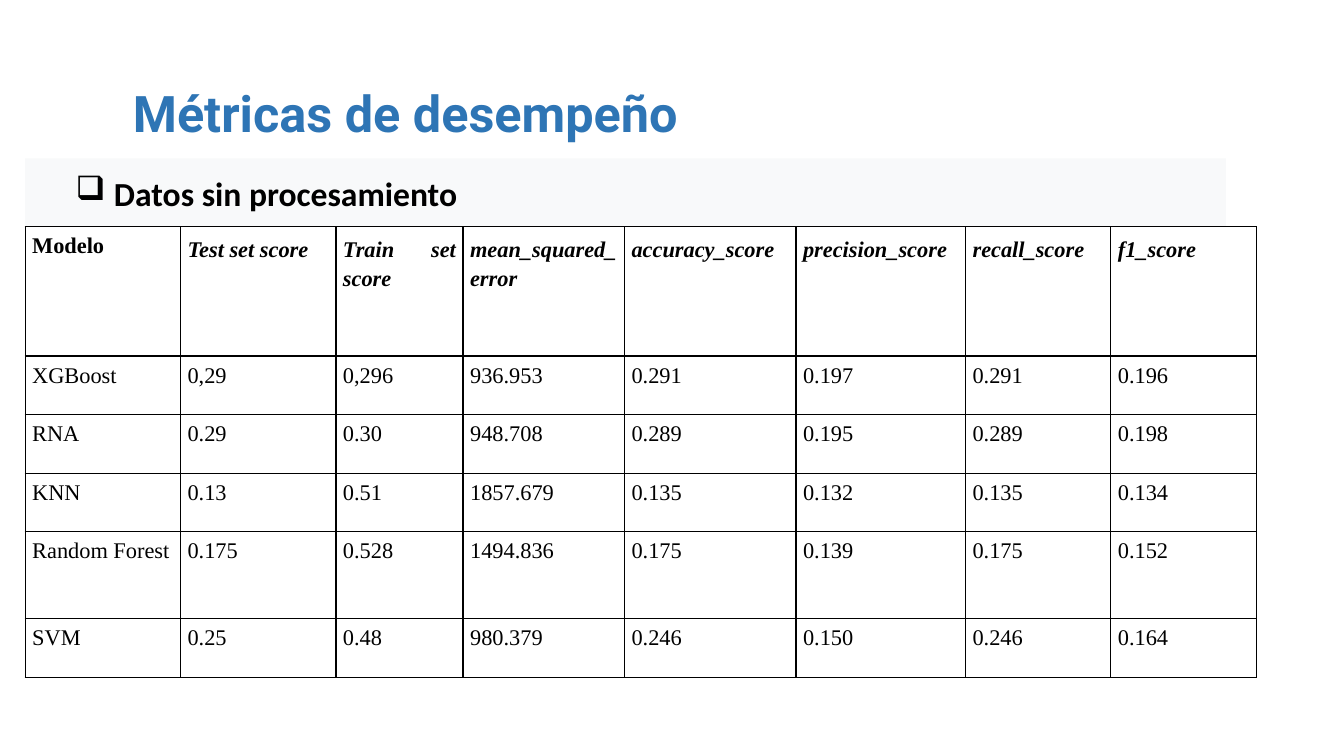
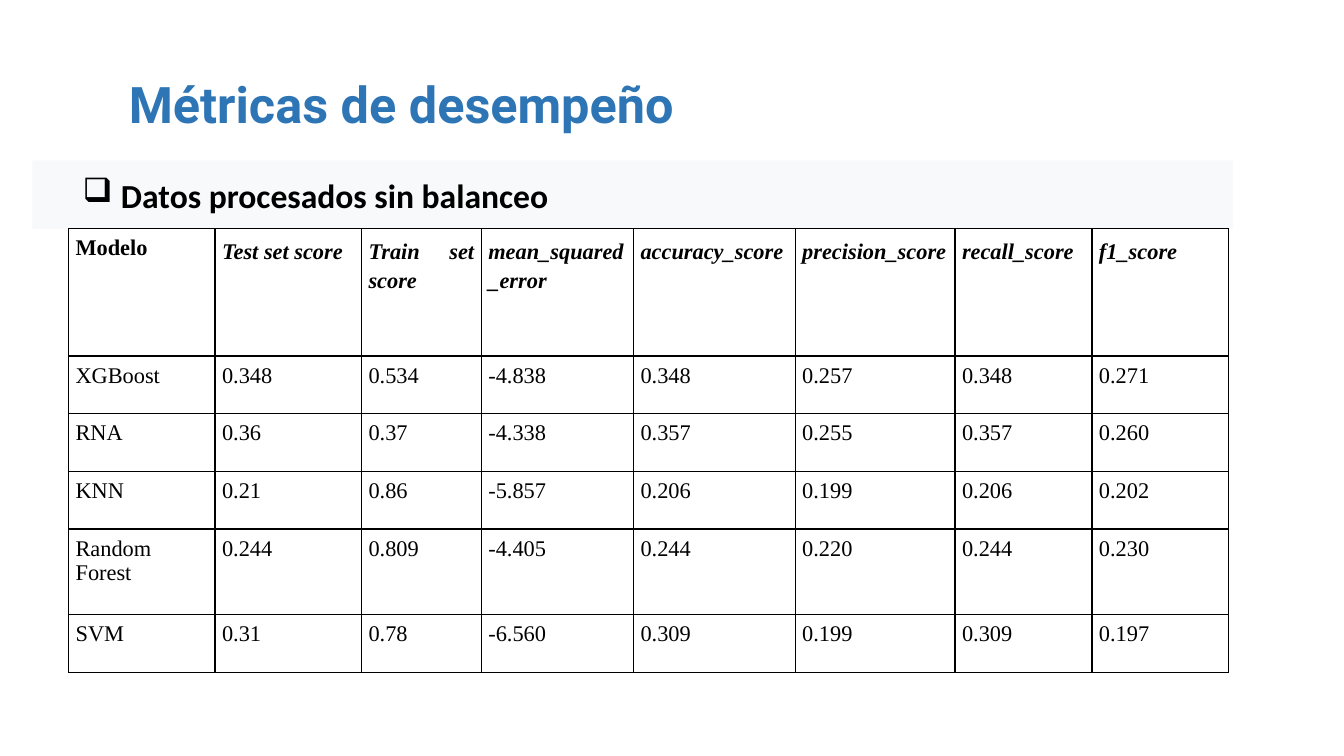
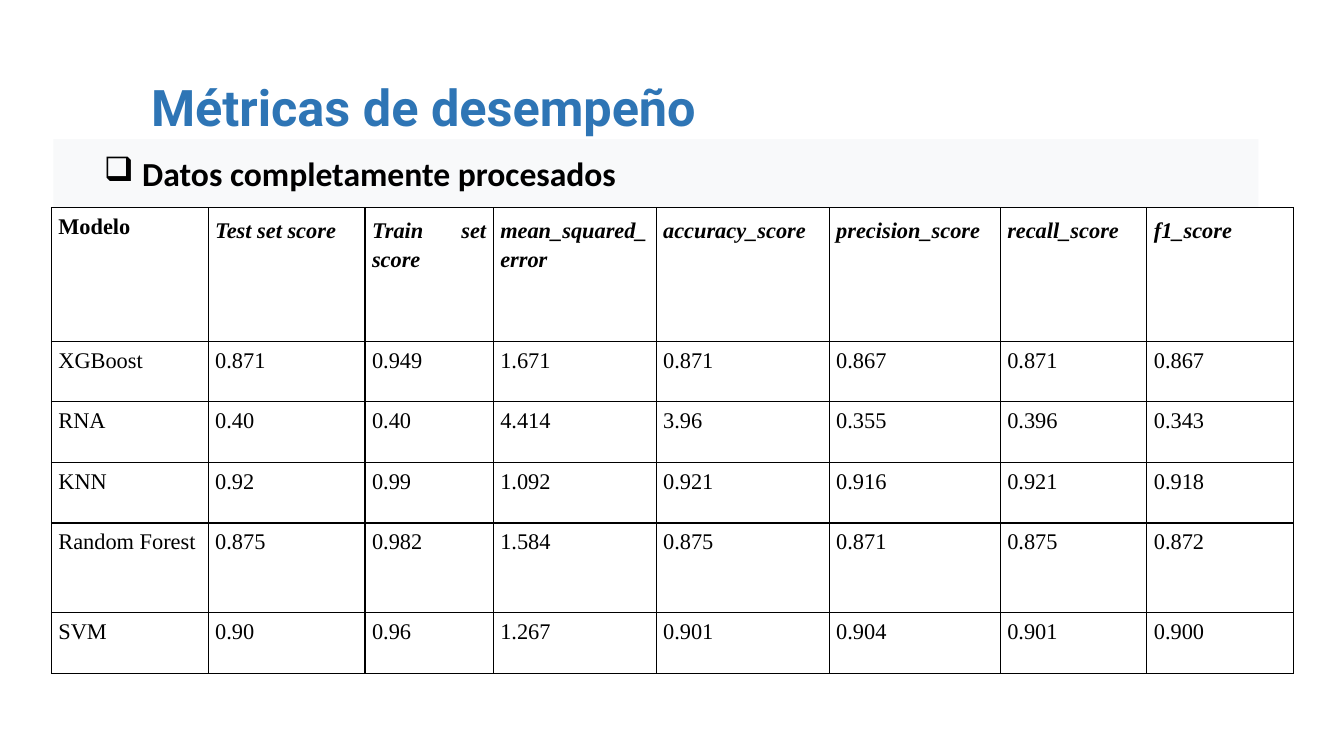
from lxml import etree
from pptx import Presentation
from pptx import util as u
from pptx.dml import color
from pptx.enum import shapes, text as t
from pptx.oxml import ns

TITLE_BLUE, BAND_GREY, BLACK = "2E75B5", "F8F9FA", "000000"
TITLE = "Métricas de desempeño"
HEADERS = ["Modelo", "Test set score", "Train set score", "mean_squared_error",
           "accuracy_score", "precision_score", "recall_score", "f1_score"]
MODELS = ["XGBoost", "RNA", "KNN", "Random Forest", "SVM"]
COLUMN_SHARES = [1.54, 1.54, 1.26, 1.6, 1.7, 1.68, 1.44, 1.44]
ROW_SHARES = [1.28, 0.58, 0.58, 0.58, 0.86, 0.58]
BAND_HEIGHT = 0.68
CELL_MARGIN = 0.07

# Title and table: left, top. Band: left, top, width. Size: table width, height.
SLIDES = [
    dict(subtitle="Datos sin procesamiento",
         title_at=(0.72, 0.77), band_at=(0.25, 1.57, 11.91),
         table_at=(0.25, 2.25), table_size=(12.21, 4.47),
         scores=["0,29 0,296 936.953 0.291 0.197 0.291 0.196",
                 "0.29 0.30 948.708 0.289 0.195 0.289 0.198",
                 "0.13 0.51 1857.679 0.135 0.132 0.135 0.134",
                 "0.175 0.528 1494.836 0.175 0.139 0.175 0.152",
                 "0.25 0.48 980.379 0.246 0.150 0.246 0.164"]),
    dict(subtitle="Datos procesados sin balanceo",
         title_at=(0.68, 0.68), band_at=(0.32, 1.59, 11.91),
         table_at=(0.68, 2.27), table_size=(11.51, 4.4),
         scores=["0.348 0.534 -4.838 0.348 0.257 0.348 0.271",
                 "0.36 0.37 -4.338 0.357 0.255 0.357 0.260",
                 "0.21 0.86 -5.857 0.206 0.199 0.206 0.202",
                 "0.244 0.809 -4.405 0.244 0.220 0.244 0.230",
                 "0.31 0.78 -6.560 0.309 0.199 0.309 0.197"]),
    dict(subtitle="Datos completamente procesados",
         title_at=(0.9, 0.71), band_at=(0.53, 1.38, 11.95),
         table_at=(0.51, 2.06), table_size=(12.32, 4.62),
         scores=["0.871 0.949 1.671 0.871 0.867 0.871 0.867",
                 "0.40 0.40 4.414 3.96 0.355 0.396 0.343",
                 "0.92 0.99 1.092 0.921 0.916 0.921 0.918",
                 "0.875 0.982 1.584 0.875 0.871 0.875 0.872",
                 "0.90 0.96 1.267 0.901 0.904 0.901 0.900"]),
]


def rgb(value):
    return color.RGBColor.from_string(value)


def add_xml(parent, tag, **attributes):
    return etree.SubElement(parent, ns.qn(tag), attributes)


def write_text(frame, text, size, font, colour=BLACK, bold=False, italic=False,
               align=t.PP_ALIGN.LEFT, spacing=None, indent=0, hanging=0, bullet=None):
    paragraph = frame.paragraphs[0]
    properties = paragraph._p.get_or_add_pPr()
    properties.set("marL", str(u.Inches(indent)))
    properties.set("indent", str(-u.Inches(hanging)))
    if bullet:
        add_xml(add_xml(properties, "a:buClr"), "a:srgbClr", val=colour)
        add_xml(properties, "a:buChar", char=bullet)
    paragraph.alignment = align
    if spacing:
        paragraph.line_spacing = spacing
    run = paragraph.add_run()
    run.text = text
    run.font.size = u.Pt(size)
    run.font.name = font
    run.font.bold = bold
    run.font.italic = italic
    run.font.color.rgb = rgb(colour)


def set_margins(target, margin):
    target.margin_left = target.margin_right = u.Inches(margin)
    target.margin_top = target.margin_bottom = u.Inches(margin)


def add_title(slide, left, top):
    box = slide.shapes.add_textbox(u.Inches(left), u.Inches(top), u.Inches(11.2), u.Inches(1.01))
    box.text_frame.word_wrap = True
    write_text(box.text_frame, TITLE, size=36, font="Roboto", colour=TITLE_BLUE,
               bold=True, indent=0.5)


def add_band(slide, subtitle, left, top, width):
    band = slide.shapes.add_shape(shapes.MSO_SHAPE.RECTANGLE, u.Inches(left), u.Inches(top),
                                  u.Inches(width), u.Inches(BAND_HEIGHT))
    band.shadow.inherit = False
    band.fill.solid()
    band.fill.fore_color.rgb = rgb(BAND_GREY)
    band.line.fill.background()
    frame = band.text_frame
    frame.word_wrap = True
    frame.vertical_anchor = t.MSO_ANCHOR.MIDDLE
    set_margins(frame, 0)
    write_text(frame, subtitle, size=24, font="Calibri", bold=True,
               indent=0.88, hanging=0.38, bullet="❑")


def style_cell(cell):
    """Give the cell its margins, thin black borders and no fill."""
    set_margins(cell, CELL_MARGIN)
    properties = cell._tc.get_or_add_tcPr()
    for side in ("a:lnL", "a:lnR", "a:lnT", "a:lnB"):
        line = add_xml(properties, side, w=str(u.Pt(1)))
        add_xml(add_xml(line, "a:solidFill"), "a:srgbClr", val=BLACK)
    cell.fill.background()


def share_out(parts, shares, attribute, total):
    """Divide a total length among columns or rows in proportion to their shares."""
    for part, share in zip(parts, shares):
        setattr(part, attribute, u.Inches(total * share / sum(shares)))


def add_score_table(slide, scores, position, size):
    rows = [HEADERS] + [[model] + line.split() for model, line in zip(MODELS, scores)]
    table = slide.shapes.add_table(len(rows), len(HEADERS),
                                   *map(u.Inches, position + size)).table
    table.first_row = table.horz_banding = False
    share_out(table.columns, COLUMN_SHARES, "width", size[0])
    share_out(table.rows, ROW_SHARES, "height", size[1])
    for row, values in enumerate(rows):
        for column, value in enumerate(values):
            cell = table.cell(row, column)
            style_cell(cell)
            is_metric = row == 0 and column > 0
            write_text(cell.text_frame, value, size=16, font="Times New Roman",
                       bold=row == 0, italic=is_metric,
                       align=t.PP_ALIGN.JUSTIFY if is_metric else t.PP_ALIGN.LEFT,
                       spacing=1.15 if is_metric else None)


def main():
    presentation = Presentation()
    presentation.slide_width = u.Inches(13.33)
    presentation.slide_height = u.Inches(7.5)
    for content in SLIDES:
        slide = presentation.slides.add_slide(presentation.slide_layouts[6])
        add_title(slide, *content["title_at"])
        add_band(slide, content["subtitle"], *content["band_at"])
        add_score_table(slide, content["scores"], content["table_at"], content["table_size"])
    presentation.save("out.pptx")


if __name__ == "__main__":
    main()
